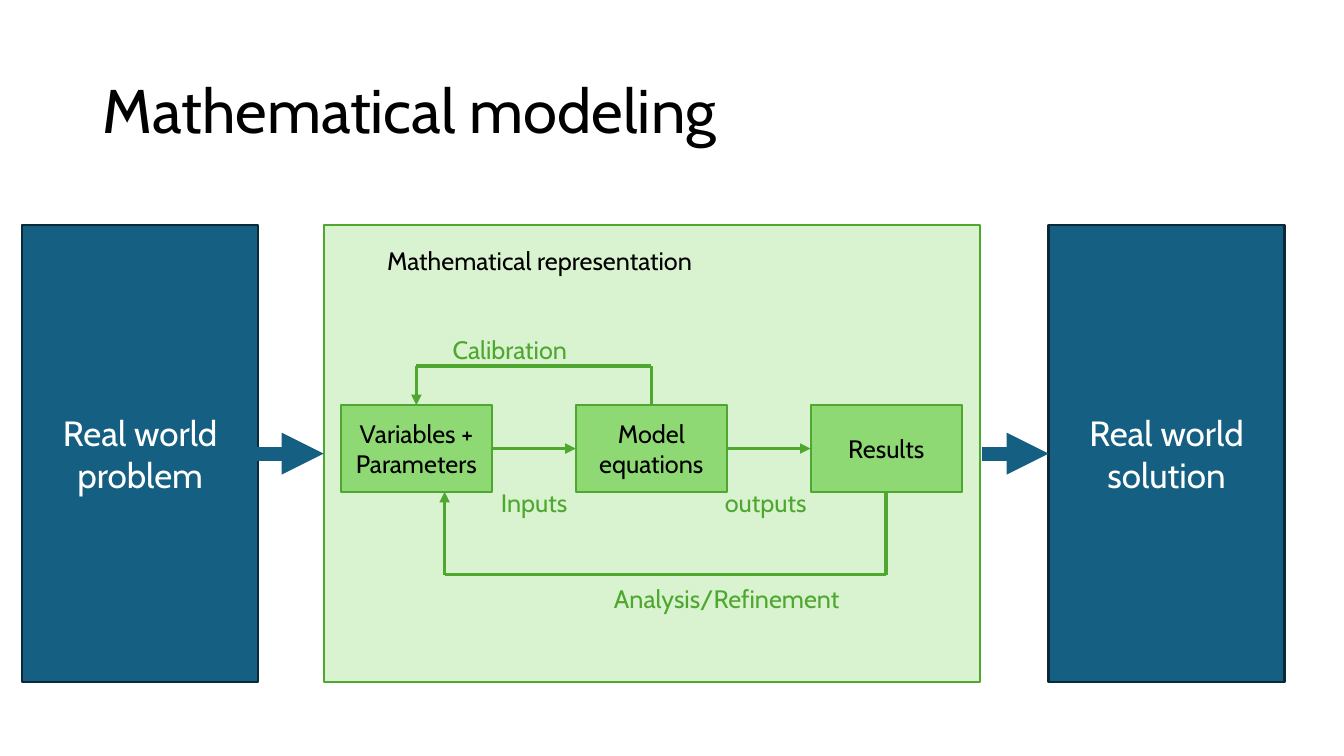
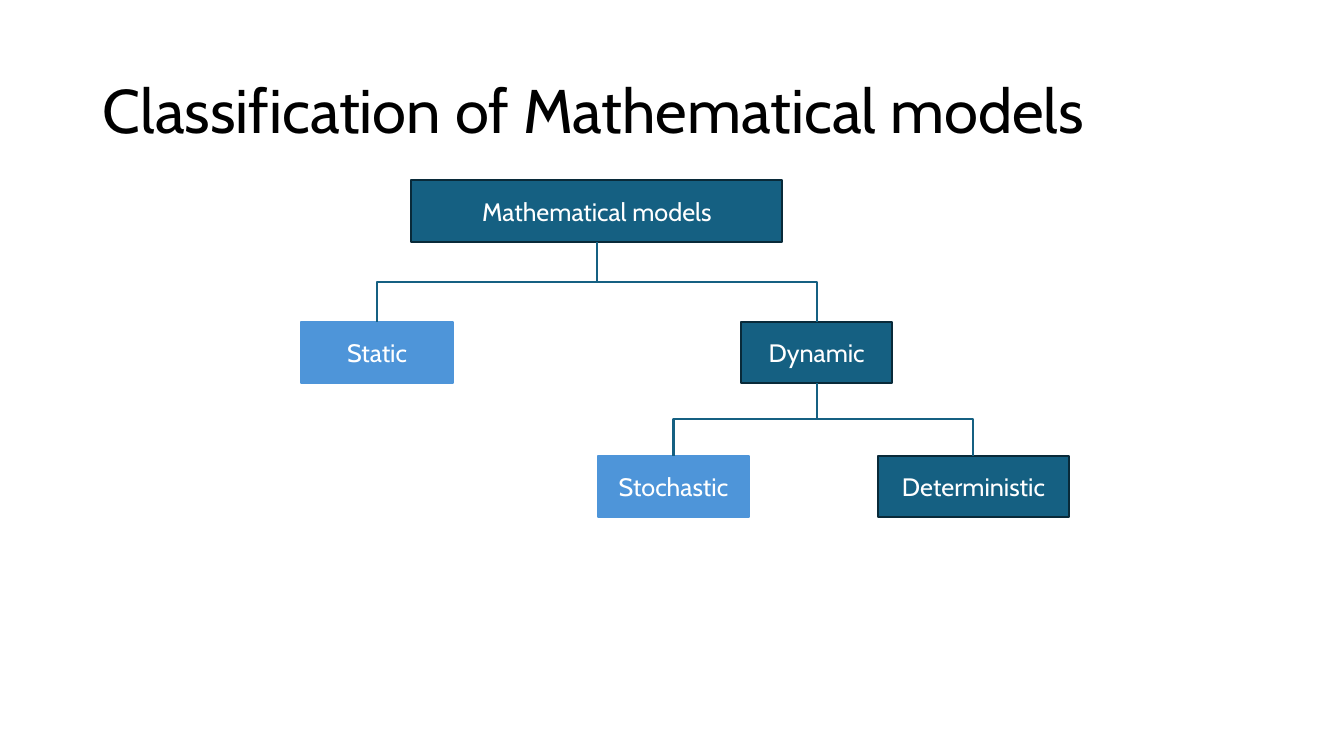
from lxml import etree
from pptx import Presentation
from pptx import util as u
from pptx.dml.color import RGBColor
from pptx.enum import shapes, text
from pptx.oxml import ns

PX = 9144  # EMU per px, 100 px to the inch

BLACK = RGBColor(0x00, 0x00, 0x00)
WHITE = RGBColor(0xFF, 0xFF, 0xFF)
TEAL = RGBColor(0x15, 0x60, 0x82)
NAVY = RGBColor(0x09, 0x2A, 0x39)
SKY = RGBColor(0x4E, 0x95, 0xD9)
GREEN = RGBColor(0x4E, 0xA7, 0x2E)
LIGHT_GREEN = RGBColor(0x8E, 0xD9, 0x73)
PALE_GREEN = RGBColor(0xD9, 0xF2, 0xD0)

# Box styles: fill, outline, text colour
DARK_BOX = (TEAL, NAVY, WHITE)
SKY_BOX = (SKY, SKY, WHITE)
GREEN_BOX = (LIGHT_GREEN, GREEN, BLACK)
PANEL = (PALE_GREEN, GREEN, BLACK)


class Deck:
    """Holds the shared style and the slide being drawn."""

    font_name = "Cabin"
    body_size = 18
    title_size = 44
    outline = 1.5

    def __init__(self, width, height):
        self.presentation = Presentation()
        self.presentation.slide_width = width * PX
        self.presentation.slide_height = height * PX
        self.slide = None

    def new_slide(self, title):
        self.slide = self.presentation.slides.add_slide(self.presentation.slide_layouts[6])
        shape = self.label(title, 92, 40, 1150, 145, BLACK, self.title_size)
        shape.text_frame.auto_size = text.MSO_AUTO_SIZE.NONE
        shape.text_frame.vertical_anchor = text.MSO_ANCHOR.MIDDLE
        shape.text_frame.paragraphs[0].line_spacing = 0.9

    def set_text(self, shape, words, color, size, frame_format, align):
        for name, value in frame_format.items():
            setattr(shape.text_frame, name, value)
        paragraph = shape.text_frame.paragraphs[0]
        paragraph.alignment = align
        run = paragraph.add_run()
        run.text = words
        for name, value in {"name": self.font_name, "size": u.Pt(size)}.items():
            setattr(run.font, name, value)
        run.font.color.rgb = color

    def label(self, words, left, top, width, height, color, size=body_size):
        shape = self.slide.shapes.add_textbox(left * PX, top * PX, width * PX, height * PX)
        frame_format = {"word_wrap": True, "auto_size": text.MSO_AUTO_SIZE.SHAPE_TO_FIT_TEXT}
        self.set_text(shape, words, color, size, frame_format, text.PP_ALIGN.LEFT)
        return shape

    def box(self, words, left, top, width, height, style, size=body_size):
        fill, line, color = style
        shape = self.slide.shapes.add_shape(
            shapes.MSO_SHAPE.RECTANGLE, left * PX, top * PX, width * PX, height * PX)
        shape.shadow.inherit = False
        shape.fill.solid()
        shape.fill.fore_color.rgb = fill
        shape.line.color.rgb = line
        shape.line.width = u.Pt(self.outline)
        if words:
            frame_format = {"word_wrap": True, "vertical_anchor": text.MSO_ANCHOR.MIDDLE}
            self.set_text(shape, words, color, size, frame_format, text.PP_ALIGN.CENTER)
        return shape

    def connector(self, kind, start, end, color, weight):
        line = self.slide.shapes.add_connector(kind, *(n * PX for n in (*start, *end)))
        line.line.color.rgb = color
        line.line.width = u.Pt(weight)
        etree.SubElement(line._element.spPr, ns.qn("a:effectLst"))
        return line

    def route(self, points, color, weight):
        """Straight segments through the points, with an arrowhead on the last."""
        for start, end in zip(points, points[1:]):
            line = self.connector(shapes.MSO_CONNECTOR.STRAIGHT, start, end, color, weight)
        etree.SubElement(line.get_or_add_ln(), ns.qn("a:tailEnd"), type="triangle")

    def branch(self, parent, child):
        """Elbow from the bottom of the parent to the top of the child."""
        line = self.connector(shapes.MSO_CONNECTOR.ELBOW, (0, 0), (1, 1), TEAL, self.outline)
        line.begin_connect(parent, 2)
        line.end_connect(child, 0)
        start_x = parent.left + parent.width // 2
        end_x = child.left + child.width // 2
        start_y, end_y = parent.top + parent.height, child.top
        drop, reach = end_y - start_y, abs(end_x - start_x)
        # The elbow runs sideways by default, so it is turned a quarter
        frame = {
            "left": (start_x + end_x - drop) // 2,
            "top": (start_y + end_y - reach) // 2,
            "width": drop,
            "height": reach,
        }
        for name, value in frame.items():
            setattr(line, name, value)
        to_right = end_x > start_x
        turn = {"rot": str((270 if to_right else 90) * 60000),
                "flipH": str(int(to_right)), "flipV": "0"}
        for name, value in turn.items():
            line._element.spPr.find(ns.qn("a:xfrm")).set(name, value)


def modeling_slide(deck):
    deck.new_slide("Mathematical modeling")

    # Real world on both sides, the mathematics between
    for words, left in (("Real world problem", 22), ("Real world solution", 1040)):
        deck.box(words, left, 223, 234, 454, DARK_BOX, 25)
    deck.box("", 321, 223, 651, 454, PANEL)
    deck.label("Mathematical representation", 374, 238, 395, 40, BLACK)

    # Three steps at an equal pitch
    left, top, width, height, pitch = 338, 402, 150, 86, 233
    steps = ("Variables + Parameters", "Model equations", "Results")
    for index, words in enumerate(steps):
        deck.box(words, left + index * pitch, top, width, height, GREEN_BOX)
    centers = [left + index * pitch + width // 2 for index in range(len(steps))]
    bottom, middle = top + height, top + height // 2

    # Forward arrows and the two feedback loops
    flows = [[(center + width // 2, middle), (center + pitch - width // 2, middle)]
             for center in centers[:2]]
    calibration = [(centers[1], top), (centers[1], 363), (centers[0], 363), (centers[0], top)]
    refinement = [(centers[2], bottom), (centers[2], 570), (441, 570), (441, bottom)]
    for points in (*flows, calibration, refinement):
        deck.route(points, GREEN, 2.5)

    for words, left, top, width in (
        ("Calibration", 439, 327, 171),
        ("Inputs", 487, 479, 94),
        ("outputs", 709, 479, 116),
        ("Analysis/Refinement", 599, 574, 251),
    ):
        deck.label(words, left, top, width, 40, GREEN)

    # Thick arrows between the panels
    for start in (255, 974):
        deck.route([(start, 450), (start + 66, 450)], TEAL, 10)


def classification_slide(deck):
    deck.new_slide("Classification of Mathematical models")

    # Tree: words, left, top, width, style, parent
    boxes = {}
    for words, left, top, width, style, parent in (
        ("Mathematical models", 408, 179, 368, DARK_BOX, None),
        ("Static", 299, 319, 150, SKY_BOX, "Mathematical models"),
        ("Dynamic", 735, 319, 150, DARK_BOX, "Mathematical models"),
        ("Stochastic", 593, 452, 150, SKY_BOX, "Dynamic"),
        ("Deterministic", 871, 452, 189, DARK_BOX, "Dynamic"),
    ):
        boxes[words] = deck.box(words, left, top, width, 61, style)
        if parent:
            deck.branch(boxes[parent], boxes[words])


def main():
    deck = Deck(1333, 750)
    modeling_slide(deck)
    classification_slide(deck)
    deck.presentation.save("out.pptx")


if __name__ == "__main__":
    main()
